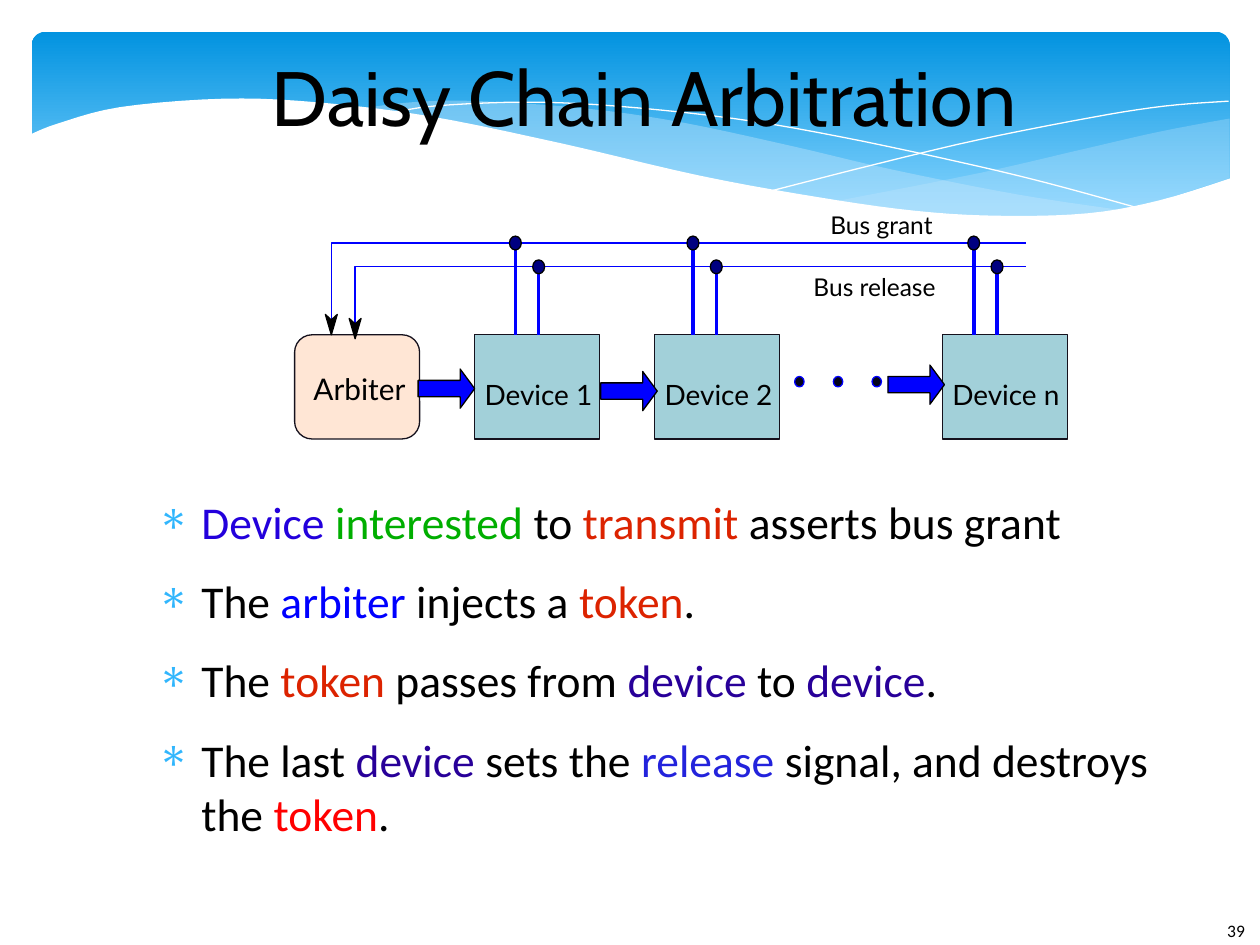
import pptx
import pptx.util
import pptx.dml.color
import pptx.enum.shapes
import pptx.enum.text
import pptx.oxml
import pptx.oxml.ns

Cm = pptx.util.Cm
Pt = pptx.util.Pt
KIND = pptx.enum.shapes.MSO_SHAPE
BLUE, BLACK, WHITE = "0000FF", "000000", "FFFFFF"
RED, INDIGO = "DC2300", "280099"


def tint(fmt, code):
    fmt.rgb = pptx.dml.color.RGBColor.from_string(code)


def paint(shape, fill=None, line=None, alpha=None):
    shape.shadow.inherit = False
    if fill:
        shape.fill.solid()
        tint(shape.fill.fore_color, fill)
        if alpha:
            node = shape.fill._xPr.find(".//" + pptx.oxml.ns.qn("a:srgbClr"))
            pptx.oxml.ns.qn("a:alpha")
            node.append(pptx.oxml.parse_xml(
                f'<a:alpha {pptx.oxml.ns.nsdecls("a")} val="{alpha * 1000}"/>'))
    else:
        shape.fill.background()
    if line:
        shape.line.width = Pt(0)
        tint(shape.line.color, line)
    else:
        shape.line.fill.background()
    return shape


def block(slide, kind, x, y, w, h, fill, line=None):
    shape = slide.shapes.add_shape(kind, Cm(x), Cm(y), Cm(w), Cm(h))
    return paint(shape, fill, line)


def trace(slide, x, y, points, close=True, **look):
    spots = [(Cm(x + px), Cm(y + py)) for px, py in points]
    pen = slide.shapes.build_freeform(*spots[0])
    pen.add_line_segments(spots[1:], close=close)
    return paint(pen.convert_to_shape(), **look)


def wire(slide, x1, y1, x2, y2, color):
    line = slide.shapes.add_connector(
        pptx.enum.shapes.MSO_CONNECTOR.STRAIGHT, Cm(x1), Cm(y1), Cm(x2), Cm(y2))
    line.line.width = Pt(0)
    tint(line.line.color, color)
    line._element.spPr.append(
        pptx.oxml.parse_xml(f'<a:effectLst {pptx.oxml.ns.nsdecls("a")}/>'))


def write(para, text, size, font, color=BLACK):
    run = para.add_run()
    run.text = text
    run.font.size = Pt(size)
    run.font.name = font
    tint(run.font.color, color)


def frame(shape, wrap):
    text = shape.text_frame
    text.margin_left = text.margin_right = text.margin_top = text.margin_bottom = 0
    text.word_wrap = wrap
    text.auto_size = pptx.enum.text.MSO_AUTO_SIZE.NONE
    return text


def label(slide, x, y, w, h, text, size, font="Lato"):
    box = slide.shapes.add_textbox(Cm(x), Cm(y), Cm(w), Cm(h))
    write(frame(box, False).paragraphs[0], text, size, font)


def smooth(points, steps=5):
    ends = [points[0], *points, points[-1]]
    curve = []
    for a, b, c, d in zip(ends, ends[1:], ends[2:], ends[3:]):
        for t in (n / steps for n in range(steps)):
            curve.append(tuple(
                (2 * q + (r - p) * t + (2 * p - 5 * q + 4 * r - s) * t ** 2
                 + (3 * q - p - 3 * r + s) * t ** 3) / 2
                for p, q, r, s in zip(a, b, c, d)))
    return curve + [points[-1]]


def banner(slide, x, y, w, h):
    sky = block(slide, KIND.ROUNDED_RECTANGLE, x, y, w, h, WHITE)
    sky.adjustments[0] = 0.07
    sky.fill.gradient()
    sky.fill.gradient_angle = 270
    for stop, code, place in zip(sky.fill.gradient_stops, ("0293E0", "83D3FE"), (0, 0.9)):
        tint(stop.color, code)
        stop.position = place

    right = (smooth([(w, 1.75), (22.76, 2.01), (21.23, 2.36), (19.15, 2.84), (16.15, 3.43)])
             + smooth([(16.15, 3.43), (17.63, 3.61), (19.2, 3.73), (20.57, 3.73),
                       (22.15, 3.56), (w, 2.95)]))
    trace(slide, x, y, right, fill="C6E7FC", alpha=29)
    left = (smooth([(22.05, 3.61), (19.86, 3.28), (17.3, 2.77), (15.34, 2.31), (13.11, 1.83),
                    (11.18, 1.55), (9.02, 1.4), (7.7, 1.42), (6.63, 1.55)])
            + smooth([(6.63, 1.55), (8.56, 1.83), (10.77, 2.31), (12.83, 2.79), (15.06, 3.25),
                      (17.37, 3.58), (19.3, 3.73), (20.65, 3.73), (22.05, 3.61)]))
    trace(slide, x, y, left, fill="C6E7FC", alpha=40)

    for arc in (
        [(7.21, 1.65), (8.1, 1.5), (9.93, 1.42), (11.79, 1.5), (14.15, 1.75),
         (16.26, 2.11), (18.67, 2.62), (20.47, 3.05), (22.4, 3.58)],
        [(14.94, 3.2), (17.02, 2.67), (19.08, 2.18), (21.36, 1.73), (22.83, 1.5), (24.13, 1.4)],
    ):
        trace(slide, x, y, smooth(arc), close=False, line=WHITE)

    wave = smooth([(-0.05, 2.08), (0.53, 1.85), (1.78, 1.52), (3.86, 1.35), (5.72, 1.42),
                   (8, 1.7), (10.72, 2.26), (13.46, 2.9), (15.82, 3.33), (17.81, 3.61),
                   (19.51, 3.71), (21.29, 3.66), (22.73, 3.4), (w + 0.03, 2.95)])
    trace(slide, x, y, wave + [(w + 0.03, h + 1.1), (-0.05, h + 1.1)], fill=WHITE)


def heading(slide, x, y, w, h):
    title = slide.shapes.title
    title.left, title.top, title.width, title.height = Cm(x), Cm(y), Cm(w), Cm(h)
    text = frame(title, True)
    text.vertical_anchor = pptx.enum.text.MSO_ANCHOR.MIDDLE
    para = text.paragraphs[0]
    para.alignment = pptx.enum.text.PP_ALIGN.CENTER
    write(para, "Daisy Chain Arbitration", 44, "Cabin")
    tree = title._element.getparent()
    tree.append(title._element)


def points(slide, x, y, w, h):
    box = slide.shapes.add_textbox(Cm(x), Cm(y), Cm(w), Cm(h))
    text = frame(box, True)
    lines = [
        [("Device ", "2300DC"), ("interested", "00AE00"), (" to ", BLACK),
         ("transmit", RED), (" asserts bus grant", BLACK)],
        [("The ", BLACK), ("arbiter", BLUE), (" injects a ", BLACK), ("token", RED),
         (".", BLACK)],
        [("The ", BLACK), ("token", RED), (" passes from ", BLACK), ("device", INDIGO),
         (" to ", BLACK), ("device", INDIGO), (".", BLACK)],
        [("The last ", BLACK), ("device", INDIGO), (" sets the ", BLACK),
         ("release", "2323DC"), (" signal, and destroys the ", BLACK),
         ("token", "FF0000"), (".", BLACK)],
    ]
    for n, line in enumerate(lines):
        para = text.paragraphs[0] if n == 0 else text.add_paragraph()
        props = para._p.get_or_add_pPr()
        props.set("marL", str(Cm(1.19)))
        props.set("indent", str(Cm(-0.89)))
        names = pptx.oxml.ns.nsdecls("a")
        props.append(pptx.oxml.parse_xml(
            f'<a:buClr {names}><a:srgbClr val="31B6FD"/></a:buClr>'))
        props.append(pptx.oxml.parse_xml(f'<a:buChar {names} char="∗"/>'))
        para.space_after = Pt(14.1)
        for part, color in line:
            write(para, part, 26, "Calibri", color)


def chain(slide, x, y):
    top, wide, high, edge = 2.51, 2.52, 2.1, "15111D"
    block(slide, KIND.ROUNDED_RECTANGLE, x, y + top, wide, high, "FFE6D5", edge)
    label(slide, x + 0.38, y + 3.23, 2.03, 0.81, "Arbiter", 17)
    for name, left in (("Device 1", 3.63), ("Device 2", 7.26), ("Device n", 13.06)):
        block(slide, KIND.RECTANGLE, x + left, y + top, wide, high, "A2D0D9", edge)
        label(slide, x + left + 0.2, y + 3.38, 2.44, 0.76, name, 16)

    for n in range(3):
        block(slide, KIND.OVAL, x + 10.08 + 0.78 * n, y + 3.35, 0.19, 0.21, "040419", BLUE)

    rails = (("Bus grant", 10.8, 0, 0.74, 0.66, 2.51, 0),
             ("Bus release", 10.46, 1.24, 1.22, 1.14, 2.59, 0.47))
    for name, left, head, end, rail, tip, shift in rails:
        path = [(14.74, rail), (end, rail), (end, tip - 0.05)]
        trace(slide, x, y, path, close=False, line=BLUE)
        dart = [(end, tip - 0.3), (end - 0.12, tip - 0.41), (end, tip), (end + 0.12, tip - 0.41)]
        trace(slide, x, y, dart, fill=BLACK, line=BLACK)
        label(slide, x + left, y + head, 2.8, 0.66, name, 14)
        for tap in (4.45, 8.03, 13.69):
            spot = x + tap + shift
            wire(slide, spot, y + top, spot, y + rail, BLUE)
            block(slide, KIND.OVAL, spot - 0.12, y + rail - 0.14, 0.24, 0.28, "000080", BLACK)

    for left, head in ((2.49, 3.2), (6.17, 3.25), (11.96, 3.12)):
        arrow = block(slide, KIND.RIGHT_ARROW, x + left, y + head, 1.14, 0.79, BLUE, BLACK)
        arrow.adjustments[0] = 0.42
        arrow.adjustments[1] = 0.37


def main():
    deck = pptx.Presentation()
    deck.slide_width, deck.slide_height = Cm(25.4), Cm(19.05)
    slide = deck.slides.add_slide(deck.slide_layouts[5])
    banner(slide, 0.64, 0.64, 24.15, 3.96)
    label(slide, 24.74, 18.54, 0.6, 0.5, "39", 10, "Calibri")
    heading(slide, 2.69, 0.64, 20.6, 2.59)
    points(slide, 2.87, 9.96, 20.85, 6.99)
    chain(slide, 5.94, 4.24)
    deck.save("out.pptx")


if __name__ == "__main__":
    main()
